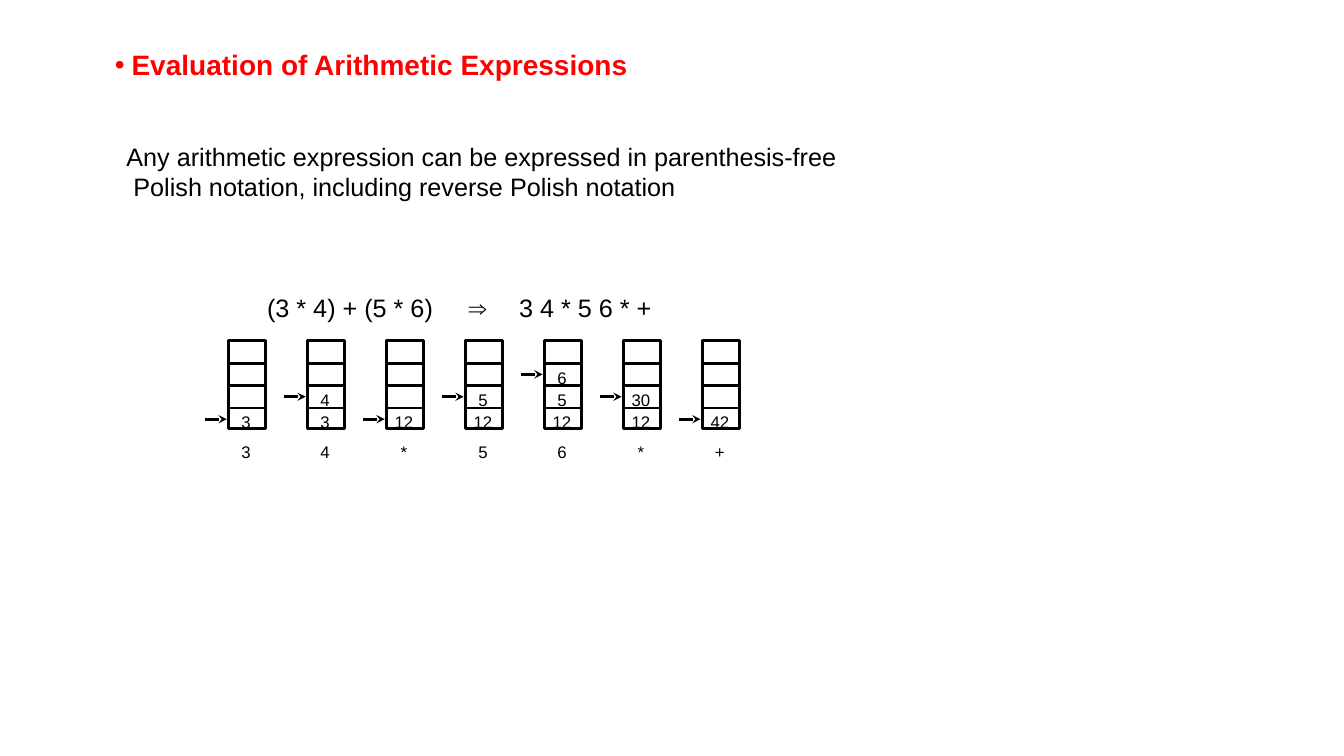
"""Build a slide on evaluating arithmetic expressions with a stack."""
from lxml.etree import SubElement
from pptx import Presentation
from pptx.dml.color import RGBColor
from pptx.enum.shapes import MSO_CONNECTOR as Connector, MSO_SHAPE as Shape
from pptx.enum.text import MSO_ANCHOR as Anchor, MSO_AUTO_SIZE as AutoSize, PP_ALIGN as Align
from pptx.oxml.ns import qn
from pptx.util import Pt


def write(shape, lines, size, inset, color="000000", bold=False, align=Align.LEFT, spacing=1.0, indents=(0, 0), tabs=(), bullet=None):
    frame = shape.text_frame
    frame_format = {"word_wrap": True, "auto_size": AutoSize.NONE, "vertical_anchor": Anchor.TOP,
                    "margin_left": Pt(inset), "margin_right": Pt(inset),
                    "margin_top": Pt(inset / 2), "margin_bottom": Pt(inset / 2)}
    for name, value in frame_format.items():
        setattr(frame, name, value)
    frame.text = "\n".join(lines)
    for paragraph, indent in zip(frame.paragraphs, indents):
        properties = paragraph._p.get_or_add_pPr()
        properties.set("marL", str(Pt(indent)))
        properties.set("indent", str(-Pt(indent) if bullet else 0))
        if bullet:
            SubElement(properties, qn("a:buFont"), typeface="Arial")
            SubElement(properties, qn("a:buChar"), char=bullet)
        if tabs:
            tab_list = SubElement(properties, qn("a:tabLst"))
            for tab in tabs:
                SubElement(tab_list, qn("a:tab"), pos=str(Pt(tab)), algn="l")
        paragraph.alignment = align
        paragraph.line_spacing = spacing
        paragraph.space_before = Pt(0)
        for run in paragraph.runs:
            for name, value in {"name": "Arial", "size": Pt(size), "bold": bold}.items():
                setattr(run.font, name, value)
            run.font.color.rgb = RGBColor.from_string(color)


def draw_line(x1, y1, x2, y2, arrow=False):
    connector = slide.shapes.add_connector(Connector.STRAIGHT, Pt(x1), Pt(y1), Pt(x2), Pt(y2))
    connector.line.width = Pt(2)
    connector.line.color.rgb = RGBColor.from_string("000000")
    if arrow:
        SubElement(connector.line._get_or_add_ln(), qn("a:tailEnd"), type="stealth")
    SubElement(connector._element.spPr, qn("a:effectLst"))


presentation = Presentation()
presentation.slide_width, presentation.slide_height = Pt(960), Pt(540)
slide = presentation.slides.add_slide(presentation.slide_layouts[5])

title = slide.shapes.title
for name, value in {"left": 77, "top": 35.3, "width": 379.4, "height": 24.5}.items():
    setattr(title, name, Pt(value))
write(title, ["Evaluation of Arithmetic Expressions"], 20, 5, color="FF0000", bold=True, spacing=0.85, indents=(12,), bullet="•")

statement = slide.shapes.add_textbox(Pt(76.3), Pt(98.6), Pt(536.4), Pt(47.5))
write(statement, ["Any arithmetic expression can be expressed in parenthesis-free",
                  "Polish notation, including reverse Polish notation"], 18, 5, indents=(9, 14))

formula = slide.shapes.add_textbox(Pt(185.8), Pt(207.4), Pt(290.9), Pt(24.5))
write(formula, ["(3 * 4) + (5 * 6)\t⇒\t3 4 * 5 6 * +"], 18, 5, spacing=0.96, tabs=(137.5, 180.6))

first_left, stack_pitch, stack_width = 163.4, 56.4, 26.4
stack_top, stack_height, row_pitch, row_count = 243.4, 62.6, 16, 4
text_width, text_height, label_top = 28, 21.6, 311.8
steps = [("3", ["3"]), ("4", ["3", "4"]), ("*", ["12"]), ("5", ["12", "5"]),
         ("6", ["12", "5", "6"]), ("*", ["12", "30"]), ("+", ["42"])]

for index, (token, values) in enumerate(steps):
    left = first_left + index * stack_pitch
    stack = slide.shapes.add_shape(Shape.RECTANGLE, Pt(left), Pt(stack_top), Pt(stack_width), Pt(stack_height))
    stack.shadow.inherit = False
    stack.fill.background()
    stack.line.width = Pt(2)
    stack.line.color.rgb = RGBColor.from_string("000000")
    for row in range(1, row_count):
        divider = stack_top + row * row_pitch
        draw_line(left, divider, left + stack_width, divider)

    pointer = stack_top + (row_count - len(values) + 0.5) * row_pitch
    draw_line(left - 16.6, pointer, left - 1.4, pointer, arrow=True)

    entries = [(value, stack_top + (row_count - 1 - level) * row_pitch - 0.6)
               for level, value in enumerate(values)]
    for text, top in entries + [(token, label_top)]:
        text_left = left + (stack_width - text_width) / 2 - 0.8
        box = slide.shapes.add_textbox(Pt(text_left), Pt(top), Pt(text_width), Pt(text_height))
        write(box, [text], 12, 7.2, align=Align.CENTER)
        box.text_frame.word_wrap = False

presentation.save("out.pptx")
